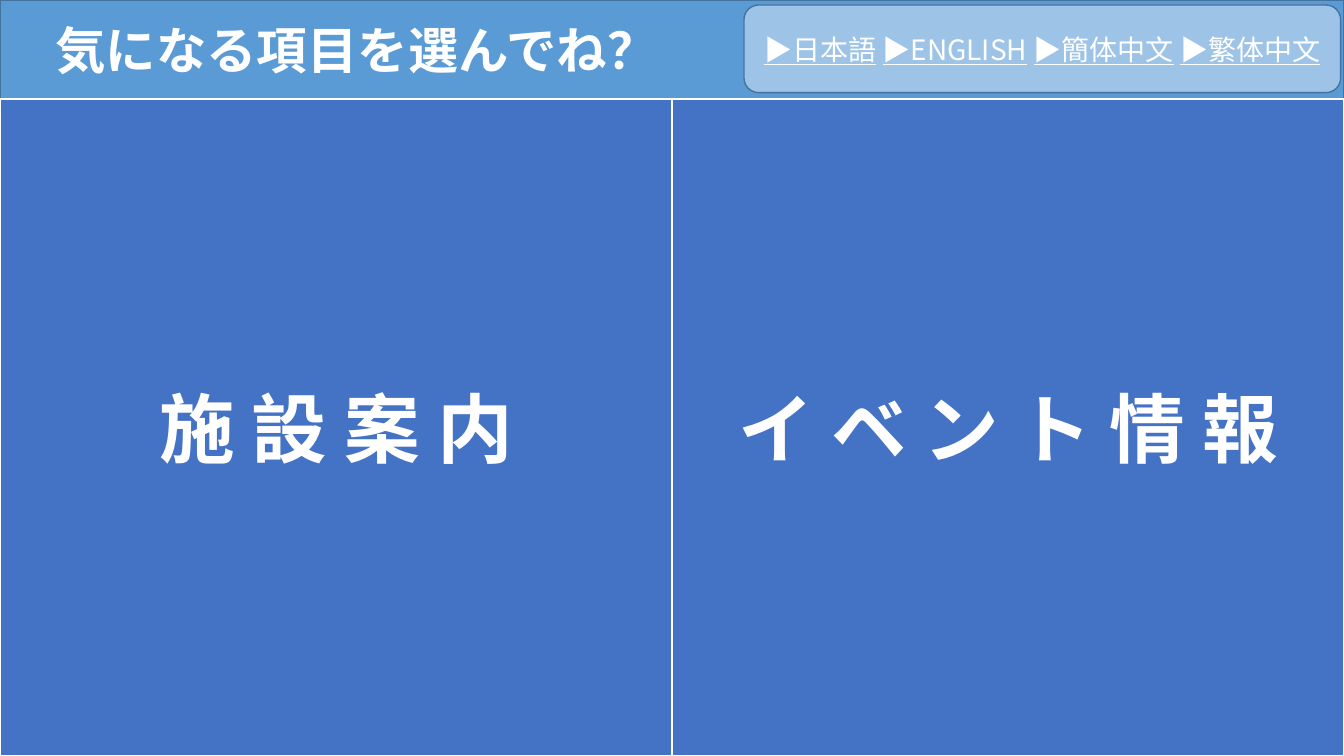
import pptx
import pptx.dml.color
import pptx.enum.shapes
import pptx.enum.text
import pptx.oxml
import pptx.oxml.ns
import pptx.util

Pt = pptx.util.Pt
SHAPES = pptx.enum.shapes.MSO_SHAPE
ALIGN = pptx.enum.text.PP_ALIGN

WIDTH, HEIGHT = 960, 540
HEADER_HEIGHT = 70.5
TITLE = "気になる項目を選んでね？"
LANGUAGES = ["▶日本語", "▶ENGLISH", "▶簡体中文", "▶繁体中文"]
MENU = ["施 設 案 内", "イ ベ ン ト 情 報"]


def color(code):
    return pptx.dml.color.RGBColor.from_string(code)


class MenuSlide:
    font = "Noto Sans CJK JP"
    text_color = "FFFFFF"
    header_fill, header_line = "5B9BD5", "43739E"
    language_fill = "9DC3E6"
    button_fill, button_line = "4472C4", "FFFFFF"

    def __init__(self, presentation):
        self.slide = presentation.slides.add_slide(presentation.slide_layouts[5])

    def paint(self, panel, fill, line, line_width):
        panel.fill.solid()
        panel.fill.fore_color.rgb = color(fill)
        panel.line.color.rgb = color(line)
        panel.line.width = Pt(line_width)

    def panel(self, kind, left, top, width, height, fill, line, line_width):
        panel = self.slide.shapes.add_shape(
            kind, Pt(left), Pt(top), Pt(width), Pt(height))
        panel.shadow.inherit = False
        self.paint(panel, fill, line, line_width)
        return panel

    def format_text(self, panel, size, bold=False, align=ALIGN.CENTER):
        frame = panel.text_frame
        frame.word_wrap = True
        frame.auto_size = pptx.enum.text.MSO_AUTO_SIZE.NONE
        frame.vertical_anchor = pptx.enum.text.MSO_ANCHOR.MIDDLE
        paragraph = frame.paragraphs[0]
        paragraph.alignment = align
        for run in paragraph.runs:
            run.font.size = Pt(size)
            run.font.bold = bold
            run.font.color.rgb = color(self.text_color)
            run.font.name = self.font
            latin = run.font._element.find(pptx.oxml.ns.qn("a:latin"))
            east_asian = pptx.oxml.parse_xml(
                f'<a:ea {pptx.oxml.ns.nsdecls("a")} typeface="{self.font}"/>')
            latin.addnext(east_asian)

    def header(self, text):
        title = self.slide.shapes.title
        title.left, title.top = Pt(0), Pt(0)
        title.width, title.height = Pt(WIDTH), Pt(HEADER_HEIGHT)
        self.paint(title, self.header_fill, self.header_line, 1)
        title.text_frame.text = text
        title.text_frame.margin_left = Pt(39.5)
        self.format_text(title, 36, bold=True, align=ALIGN.LEFT)

    def language_bar(self, languages):
        bar = self.panel(SHAPES.FLOWCHART_ALTERNATE_PROCESS, 531.4, 3.6, 426.2, 62.6,
                         self.language_fill, self.header_line, 1)
        paragraph = bar.text_frame.paragraphs[0]
        for index, language in enumerate(languages):
            if index:
                paragraph.add_run().text = " "
            choice = paragraph.add_run()
            choice.text = language
            choice.font.underline = True
        self.format_text(bar, 20)

    def menu(self, labels):
        width = WIDTH / len(labels)
        for column, label in enumerate(labels):
            button = self.panel(SHAPES.RECTANGLE, column * width, HEADER_HEIGHT,
                                width, HEIGHT - HEADER_HEIGHT,
                                self.button_fill, self.button_line, 1.5)
            button.text_frame.text = label
            self.format_text(button, 54, bold=True)


def main():
    presentation = pptx.Presentation()
    presentation.slide_width = Pt(WIDTH)
    presentation.slide_height = Pt(HEIGHT)
    slide = MenuSlide(presentation)
    slide.header(TITLE)
    slide.language_bar(LANGUAGES)
    slide.menu(MENU)
    presentation.save("out.pptx")


if __name__ == "__main__":
    main()
